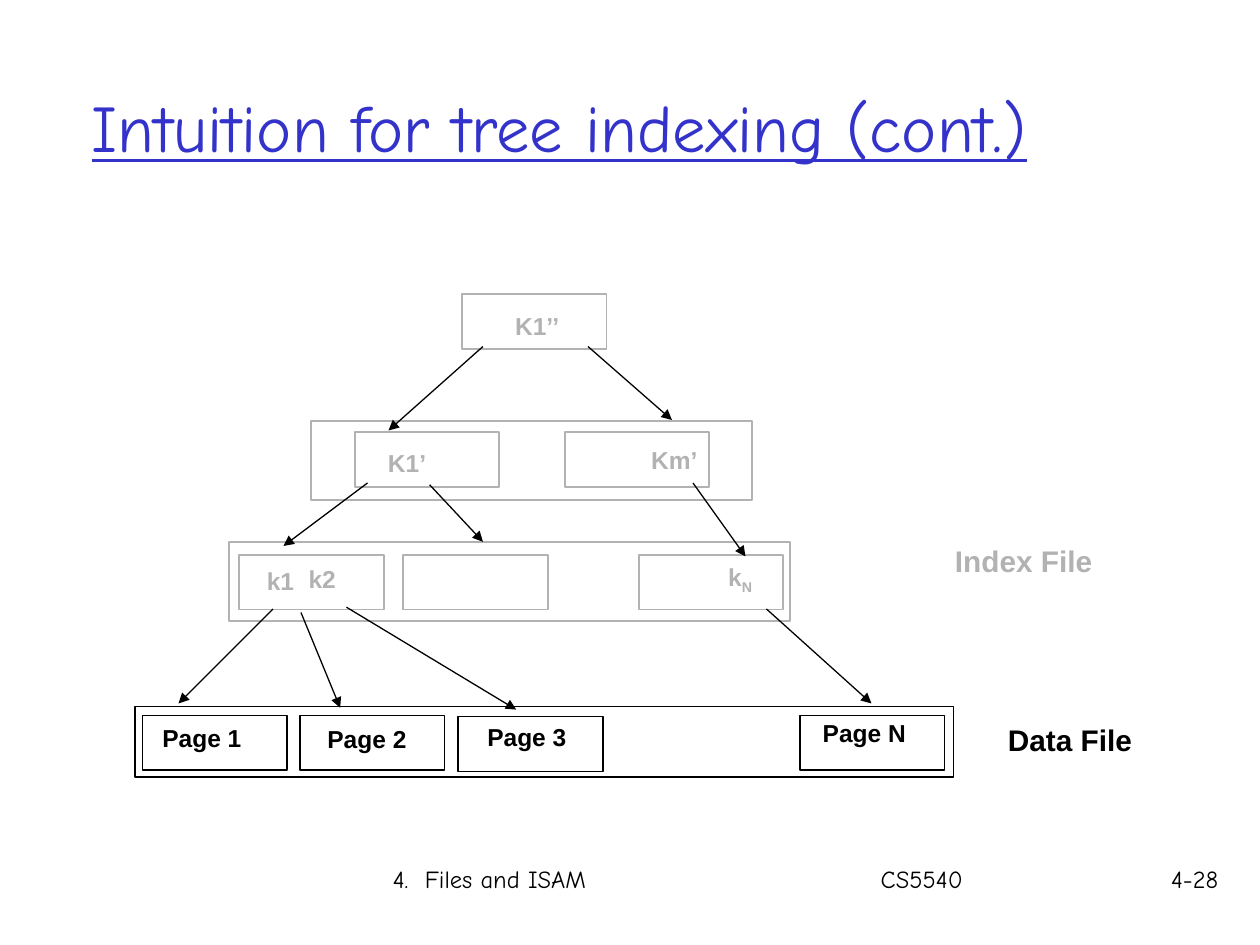
from lxml import etree
from pptx import Presentation
from pptx.dml.color import RGBColor
from pptx.enum.shapes import MSO_CONNECTOR, MSO_SHAPE
from pptx.enum.text import MSO_ANCHOR, PP_ALIGN
from pptx.oxml.ns import qn
from pptx.util import Pt

RECTANGLE = MSO_SHAPE.RECTANGLE
STRAIGHT = MSO_CONNECTOR.STRAIGHT
LEFT, RIGHT = PP_ALIGN.LEFT, PP_ALIGN.RIGHT
TOP, MIDDLE = MSO_ANCHOR.TOP, MSO_ANCHOR.MIDDLE

BLACK = RGBColor(0x00, 0x00, 0x00)
GREY = RGBColor(0xB2, 0xB2, 0xB2)
BLUE = RGBColor(0x33, 0x33, 0xCC)
DIAGRAM_FONT, SLIDE_FONT = "Arial", "Comic Neue"

NODE_WIDTH, NODE_HEIGHT = 82.6, 31.4

# Each level: colour, frame (left, top, width, height), nodes (left, top),
# labels (text, subscript, left, top, width)
LEVELS = [
    (GREY, None,
     [(264, 168)],
     [("K1’’", "", 287.3, 174.2, 40.3)]),
    (GREY, (177.8, 240.5, 252, 45.4),
     [(202.8, 247), (322.7, 247)],
     [("K1’", "", 214.6, 252.7, 36), ("Km’", "", 365, 250.6, 41)]),
    (GREY, (131, 309.6, 320.4, 45.2),
     [(136.8, 317), (230.4, 317), (365, 317)],
     [("k1", "", 145.4, 319.7, 30.2), ("k2", "", 169.2, 319, 30.2),
      ("k", "N", 409, 317.5, 28)]),
    (BLACK, (77, 403.7, 468, 40.2),
     [(81.4, 408.8), (171.4, 408.8), (261.9, 409.5), (457.2, 408.8)],
     [("Page 1", "", 85.7, 409.7, 59.8), ("Page 2", "", 180, 410.4, 59.8),
      ("Page 3", "", 271.4, 409, 59.8), ("Page N", "", 463, 406.8, 62)]),
]

FILE_NAMES = [
    ("Index File", GREY, 538.6, 306.7, 92.9),
    ("Data File", BLACK, 568.8, 409, 85.7),
]

# Each arrow: start x, start y, end x, end y
ARROWS = [
    (276, 198, 222, 246), (336, 198, 384, 240),
    (210, 276, 162, 312), (245.5, 277, 276, 309.6), (396, 276, 426, 318),
    (156, 348, 102, 402), (172, 350, 194.4, 404.5),
    (198, 347, 295, 405.5), (438, 348, 498, 402),
]

# Each footer part: text, left, width, alignment
FOOTER_TOP, FOOTER_HEIGHT = 490.3, 36
FOOTER = [
    ("4.  Files and ISAM", 217.4, 200, LEFT),
    ("CS5540", 496.2, 100, LEFT),
    ("4-28", 650, 53.3, RIGHT),
]


def add_text(slide, box, text, size, color, font=DIAGRAM_FONT, bold=False,
             underline=False, subscript="", wrap=False, align=LEFT, anchor=TOP):
    frame = slide.shapes.add_textbox(*map(Pt, box)).text_frame
    frame.word_wrap = wrap
    frame.vertical_anchor = anchor
    paragraph = frame.paragraphs[0]
    paragraph.alignment = align
    for content, baseline in ((text, 0), (subscript, -25000)):
        if not content:
            continue
        run = paragraph.add_run()
        run.text = content
        run.font.name = font
        run.font.size = Pt(size)
        run.font.bold = bold
        run.font.underline = underline
        run.font.color.rgb = color
        if baseline:
            run._r.get_or_add_rPr().set("baseline", str(baseline))


def add_outline(slide, box, color):
    shape = slide.shapes.add_shape(RECTANGLE, *map(Pt, box))
    shape.shadow.inherit = False
    shape.fill.background()
    shape.line.color.rgb = color
    shape.line.width = Pt(1)


def add_arrow(slide, ends):
    connector = slide.shapes.add_connector(STRAIGHT, *map(Pt, ends))
    connector.line.color.rgb = BLACK
    connector.line.width = Pt(0.75)
    line = connector.line._get_or_add_ln()
    etree.SubElement(line, qn("a:tailEnd"), type="triangle")
    etree.SubElement(connector._element.spPr, qn("a:effectLst"))


def main():
    presentation = Presentation()
    presentation.slide_width, presentation.slide_height = Pt(720), Pt(540)
    slide = presentation.slides.add_slide(presentation.slide_layouts[6])

    add_text(slide, (45.4, 23.8, 630, 95.8), "Intuition for tree indexing (cont.)",
             38, BLUE, SLIDE_FONT, underline=True, wrap=True, anchor=MIDDLE)

    for color, frame, nodes, labels in LEVELS:
        if frame:
            add_outline(slide, frame, color)
        for left, top in nodes:
            add_outline(slide, (left, top, NODE_WIDTH, NODE_HEIGHT), color)
        for text, subscript, left, top, width in labels:
            add_text(slide, (left, top, width, 24), text, 14, color,
                     bold=True, subscript=subscript)

    for text, color, left, top, width in FILE_NAMES:
        add_text(slide, (left, top, width, 27.4), text, 17, color, bold=True)

    for ends in ARROWS:
        add_arrow(slide, ends)

    for text, left, width, align in FOOTER:
        add_text(slide, (left, FOOTER_TOP, width, FOOTER_HEIGHT), text, 14,
                 BLACK, SLIDE_FONT, wrap=True, align=align)

    presentation.save("out.pptx")


if __name__ == "__main__":
    main()
